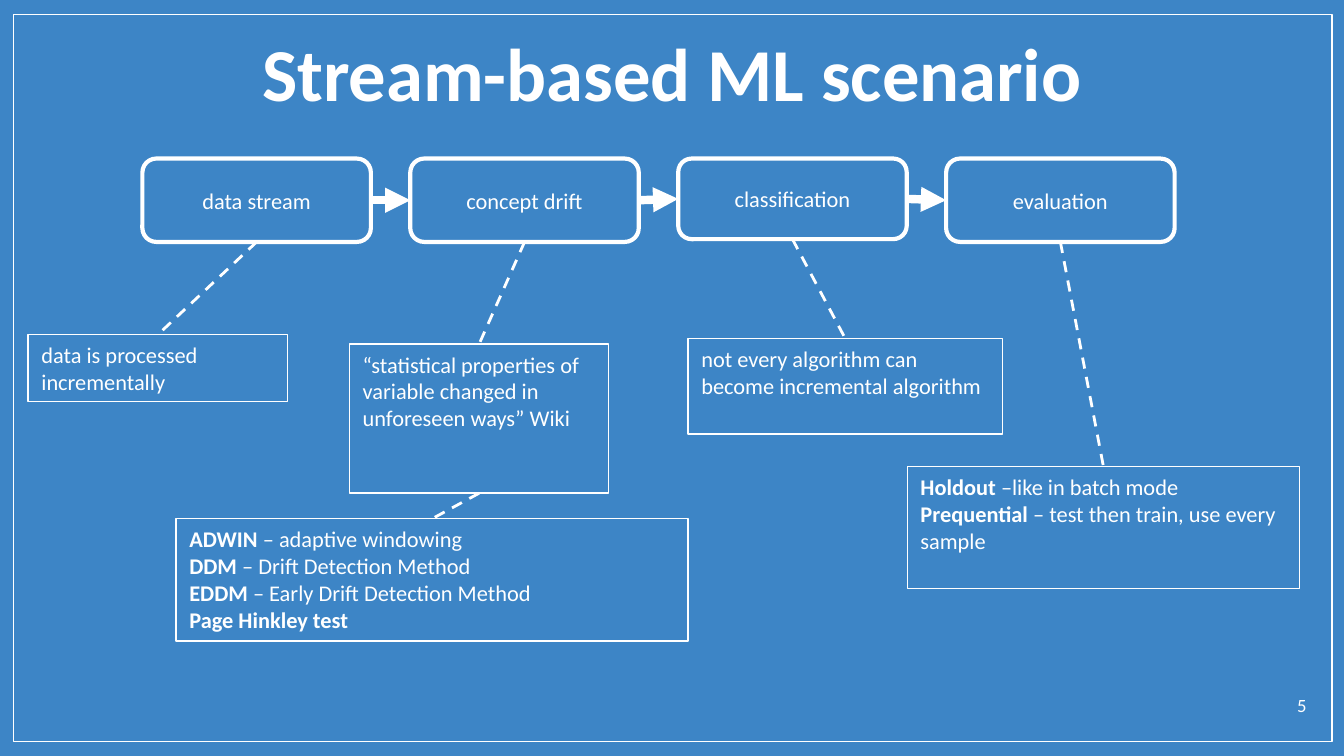
from lxml import etree
from pptx import Presentation
from pptx.dml.color import RGBColor
from pptx.enum.dml import MSO_LINE
from pptx.enum.shapes import MSO_CONNECTOR, MSO_SHAPE
from pptx.enum.text import MSO_ANCHOR, PP_ALIGN
from pptx.oxml.ns import qn
from pptx.util import Inches, Pt

BLUE = RGBColor(0x3D, 0x85, 0xC6)
WHITE = RGBColor(0xFF, 0xFF, 0xFF)
FONT = "Calibri"
TOP, LEFT, BOTTOM, RIGHT = range(4)

TITLE = "Stream-based ML scenario"
PAGE_NUMBER = "5"

# Pipeline steps: (label, height)
STEPS = [
    ("data stream", 0.62),
    ("concept drift", 0.62),
    ("classification", 0.6),
    ("evaluation", 0.62),
]
FIRST_LEFT, LAST_LEFT, STEP_TOP, STEP_WIDTH = 1.06, 7.04, 1.18, 1.7

# Notes: what each explains, its place, and paragraphs of (text, bold) runs
NOTES = {
    "data stream": ((0.21, 2.49, 1.93, 0.5), [
        [("data is processed incrementally", False)],
    ]),
    "concept drift": ((2.6, 2.56, 1.93, 1.11), [
        [("“statistical properties of variable changed in unforeseen ways” Wiki", False)],
    ]),
    "drift detectors": ((1.31, 3.86, 3.81, 0.91), [
        [("ADWIN", True), (" – adaptive windowing", False)],
        [("DDM", True), (" – Drift Detection Method", False)],
        [("EDDM", True), (" – Early Drift Detection Method", False)],
        [("Page Hinkley test", True)],
    ]),
    "classification": ((5.12, 2.52, 2.34, 0.71), [
        [("not every algorithm can become incremental algorithm", False)],
    ]),
    "evaluation": ((6.75, 3.47, 2.92, 0.91), [
        [("Holdout ", True), ("–like in batch mode", False)],
        [("Prequential", True), (" – test then train, use every sample", False)],
    ]),
}


def write(shape, paragraphs, size, align, anchor=MSO_ANCHOR.TOP, inset=0.05):
    frame = shape.text_frame
    frame.word_wrap = True
    frame.vertical_anchor = anchor
    frame.margin_left = frame.margin_right = Inches(0.1)
    frame.margin_top = frame.margin_bottom = Inches(inset)
    for index, runs in enumerate(paragraphs):
        paragraph = frame.add_paragraph() if index else frame.paragraphs[0]
        paragraph.alignment = align
        for text, bold in runs:
            run = paragraph.add_run()
            run.text = text
            run.font.name = FONT
            run.font.size = Pt(size)
            run.font.bold = bold
            run.font.color.rgb = WHITE


def add_outline(slide, kind, place, weight):
    """Add an unfilled shape with a white border."""
    shape = slide.shapes.add_shape(kind, *map(Inches, place))
    shape.shadow.inherit = False
    shape.fill.background()
    shape.line.color.rgb = WHITE
    shape.line.width = Pt(weight)
    return shape


def join(slide, start, start_side, end, end_side, weight):
    link = slide.shapes.add_connector(MSO_CONNECTOR.STRAIGHT, 0, 0, 0, 0)
    link.begin_connect(start, start_side)
    link.end_connect(end, end_side)
    link.line.color.rgb = WHITE
    link.line.width = Pt(weight)
    etree.SubElement(link._element.spPr, qn("a:effectLst"))
    return link


def add_arrow(slide, start, end):
    arrow = join(slide, start, RIGHT, end, LEFT, 4.5)
    line = arrow._element.spPr.find(qn("a:ln"))
    etree.SubElement(line, qn("a:tailEnd"), type="triangle")


def add_dashes(slide, upper, lower):
    dashes = join(slide, upper, BOTTOM, lower, TOP, 1.5)
    dashes.line.dash_style = MSO_LINE.DASH


def main():
    deck = Presentation()
    deck.slide_width = Inches(10)
    deck.slide_height = deck.slide_width * 9 // 16
    slide = deck.slides.add_slide(deck.slide_layouts[6])
    slide.background.fill.solid()
    slide.background.fill.fore_color.rgb = BLUE

    add_outline(slide, MSO_SHAPE.RECTANGLE, (0.1, 0.11, 9.81, 5.41), 0.75)
    number = slide.shapes.add_textbox(*map(Inches, (9.32, 5.08, 0.5, 0.32)))
    write(number, [[(PAGE_NUMBER, False)]], 10, PP_ALIGN.RIGHT, inset=0.1)
    title = slide.shapes.add_textbox(*map(Inches, (0.1, 0.15, 9.8, 0.77)))
    write(title, [[(TITLE, True)]], 40, PP_ALIGN.CENTER)

    steps = {}
    pitch = (LAST_LEFT - FIRST_LEFT) / (len(STEPS) - 1)
    for index, (label, height) in enumerate(STEPS):
        place = (FIRST_LEFT + index * pitch, STEP_TOP, STEP_WIDTH, height)
        step = add_outline(slide, MSO_SHAPE.ROUNDED_RECTANGLE, place, 2.25)
        write(step, [[(label, False)]], 12, PP_ALIGN.CENTER, MSO_ANCHOR.MIDDLE)
        steps[label] = step

    notes = {}
    for topic, (place, paragraphs) in NOTES.items():
        notes[topic] = add_outline(slide, MSO_SHAPE.RECTANGLE, place, 0.75)
        write(notes[topic], paragraphs, 12, PP_ALIGN.LEFT)

    chain = list(steps.values())
    for start, end in zip(chain, chain[1:]):
        add_arrow(slide, start, end)
    for label, step in steps.items():
        add_dashes(slide, step, notes[label])
    add_dashes(slide, notes["concept drift"], notes["drift detectors"])

    deck.save("out.pptx")


if __name__ == "__main__":
    main()
